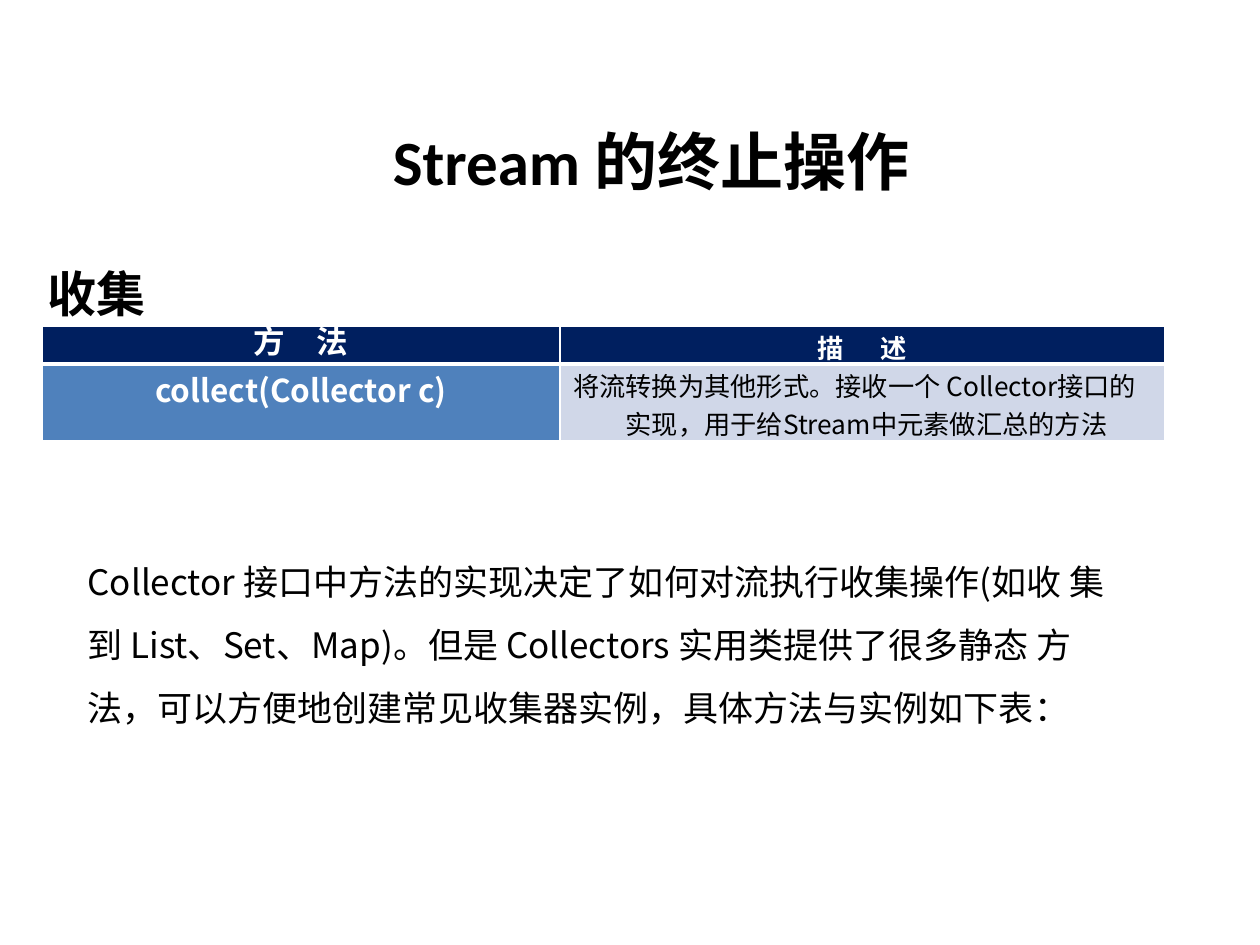
"""Build the slide on the collect terminal operation of Stream."""
from lxml import etree
from pptx import Presentation
from pptx.dml.color import RGBColor
from pptx.enum.text import MSO_ANCHOR, MSO_AUTO_SIZE, PP_ALIGN
from pptx.oxml.ns import qn
from pptx.util import Pt

LEFT, CENTER = PP_ALIGN.LEFT, PP_ALIGN.CENTER
TOP = MSO_ANCHOR.TOP
GROW = MSO_AUTO_SIZE.SHAPE_TO_FIT_TEXT
COLORS = {"black": "000000", "white": "FFFFFF", "navy": "001F5F", "blue": "4F81BC", "pale": "D0D7E8"}
CJK = "Noto Sans CJK SC"


def write(para, text, size=15, color="black", bold=False, font=CJK, align=LEFT,
          leading=None, margin=0, indent=0, tab=None):
    """Add a formatted run and set the format of its paragraph."""
    para.alignment = align
    para.line_spacing = Pt(leading) if leading else None
    settings = para._p.get_or_add_pPr()
    settings.set("marL", str(Pt(margin)))
    settings.set("indent", str(Pt(indent)))
    if tab:
        stops = etree.SubElement(settings, qn("a:tabLst"))
        etree.SubElement(stops, qn("a:tab"), pos=str(Pt(tab)), algn="l")
    span = para.add_run()
    span.text = text
    span.font.name = font
    span.font.size = Pt(size)
    span.font.bold = bold
    span.font.color.rgb = RGBColor.from_string(COLORS[color])
    etree.SubElement(span._r.get_or_add_rPr(), qn("a:ea"), typeface=CJK)


deck = Presentation()
deck.slide_width, deck.slide_height = Pt(720), Pt(540)
page = deck.slides.add_slide(deck.slide_layouts[5])

title = page.shapes.title
title.left, title.top, title.width, title.height = Pt(198.5), Pt(65), Pt(322.5), Pt(45.5)
heading = page.shapes.add_textbox(Pt(26), Pt(147), Pt(58.5), Pt(35.5))
body = page.shapes.add_textbox(Pt(49), Pt(307.5), Pt(582.5), Pt(110))
for box, inset in ((title, 4), (heading, 1), (body, 1)):
    frame = box.text_frame
    frame.word_wrap = True
    frame.auto_size = GROW
    frame.vertical_anchor = TOP
    frame.margin_left = frame.margin_right = frame.margin_bottom = 0
    frame.margin_top = Pt(inset)

for text, font in (("Stream ", "Calibri"), ("的终止操作", CJK)):
    write(title.text_frame.paragraphs[0], text, size=36, bold=True, font=font, leading=44, margin=26)
write(heading.text_frame.paragraphs[0], "收集", size=28, bold=True, leading=36, margin=1)
write(
    body.text_frame.paragraphs[0],
    "Collector 接口中方法的实现决定了如何对流执行收集操作(如收 集到 List、Set、Map)。"
    "但是 Collectors 实用类提供了很多静态 方法，可以方便地创建常见收集器实例，具体方法与实例如下表：",
    size=20, leading=36, margin=1,
)

table = page.shapes.add_table(2, 2, Pt(24), Pt(186.5), Pt(641.5), Pt(65.5)).table
for column, width in zip(table.columns, (296, 345.5)):
    column.width = Pt(width)
for row, height in zip(table.rows, (21.5, 44)):
    row.height = Pt(height)

label = {"color": "white", "bold": True, "align": CENTER}
cells = [
    (0, 0, "navy", "方\t法", {**label, "size": 18, "leading": 19.9, "tab": 36}),
    (0, 1, "navy", "描\t述", {**label, "tab": 30}),
    (1, 0, "blue", "collect(Collector c)", {**label, "size": 18}),
    (1, 1, "pale", "将流转换为其他形式。接收一个 Collector接口的 实现，用于给Stream中元素做汇总的方法",
     {"margin": 37.5, "indent": -30}),
]
for row, column, fill, text, style in cells:
    cell = table.cell(row, column)
    cell.margin_left = cell.margin_right = cell.margin_bottom = 0
    cell.margin_top = Pt(1)
    cell.vertical_anchor = TOP
    settings = cell._tc.get_or_add_tcPr()
    inner = "lnT" if row else "lnB"
    for side in ("lnL", "lnR", "lnT", "lnB"):
        border = etree.SubElement(settings, qn(f"a:{side}"), w=str(Pt(3 if side == inner else 1)))
        paint = etree.SubElement(border, qn("a:solidFill"))
        etree.SubElement(paint, qn("a:srgbClr"), val=COLORS["white"])
    cell.fill.solid()
    cell.fill.fore_color.rgb = RGBColor.from_string(COLORS[fill])
    write(cell.text_frame.paragraphs[0], text, **style)

deck.save("out.pptx")
